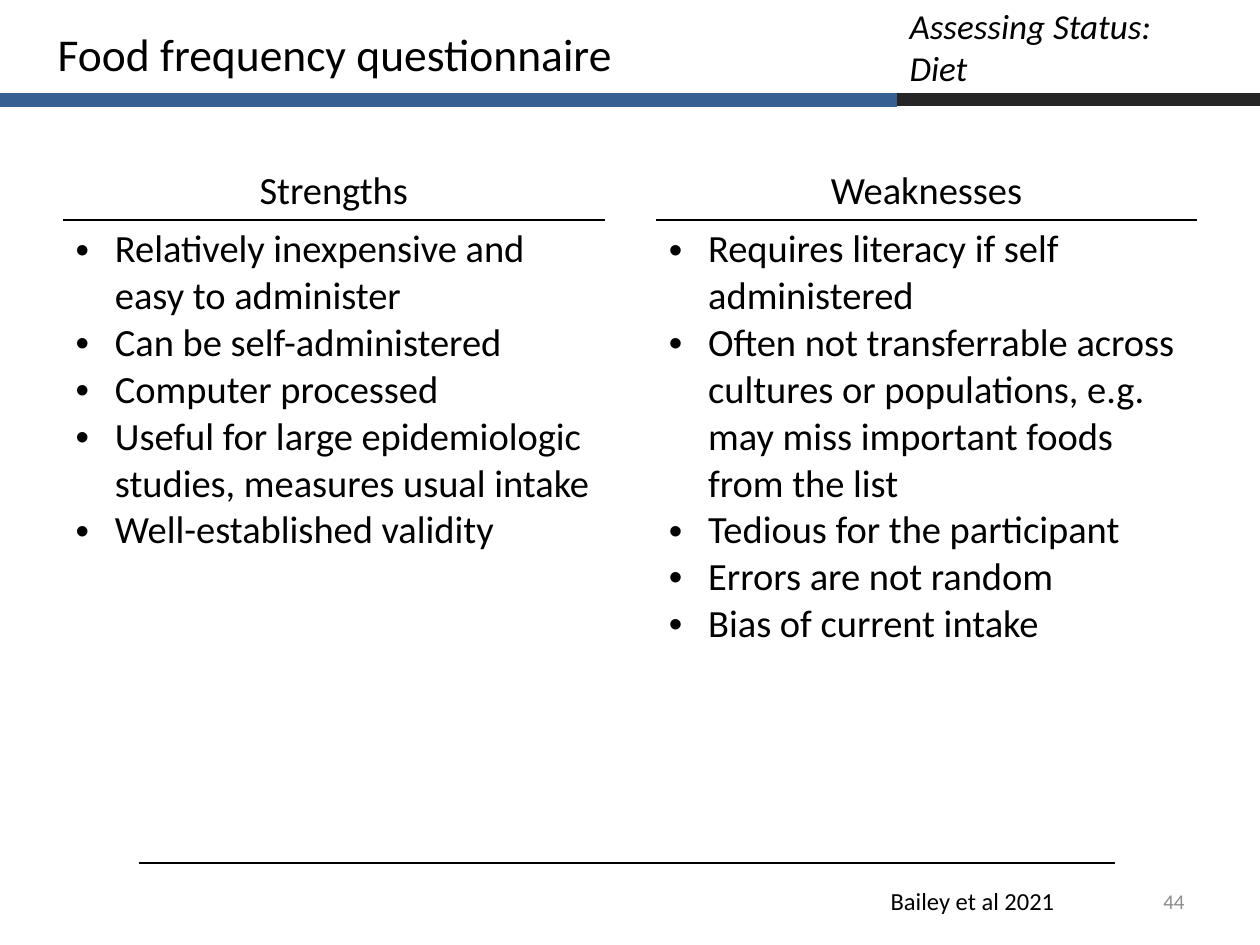
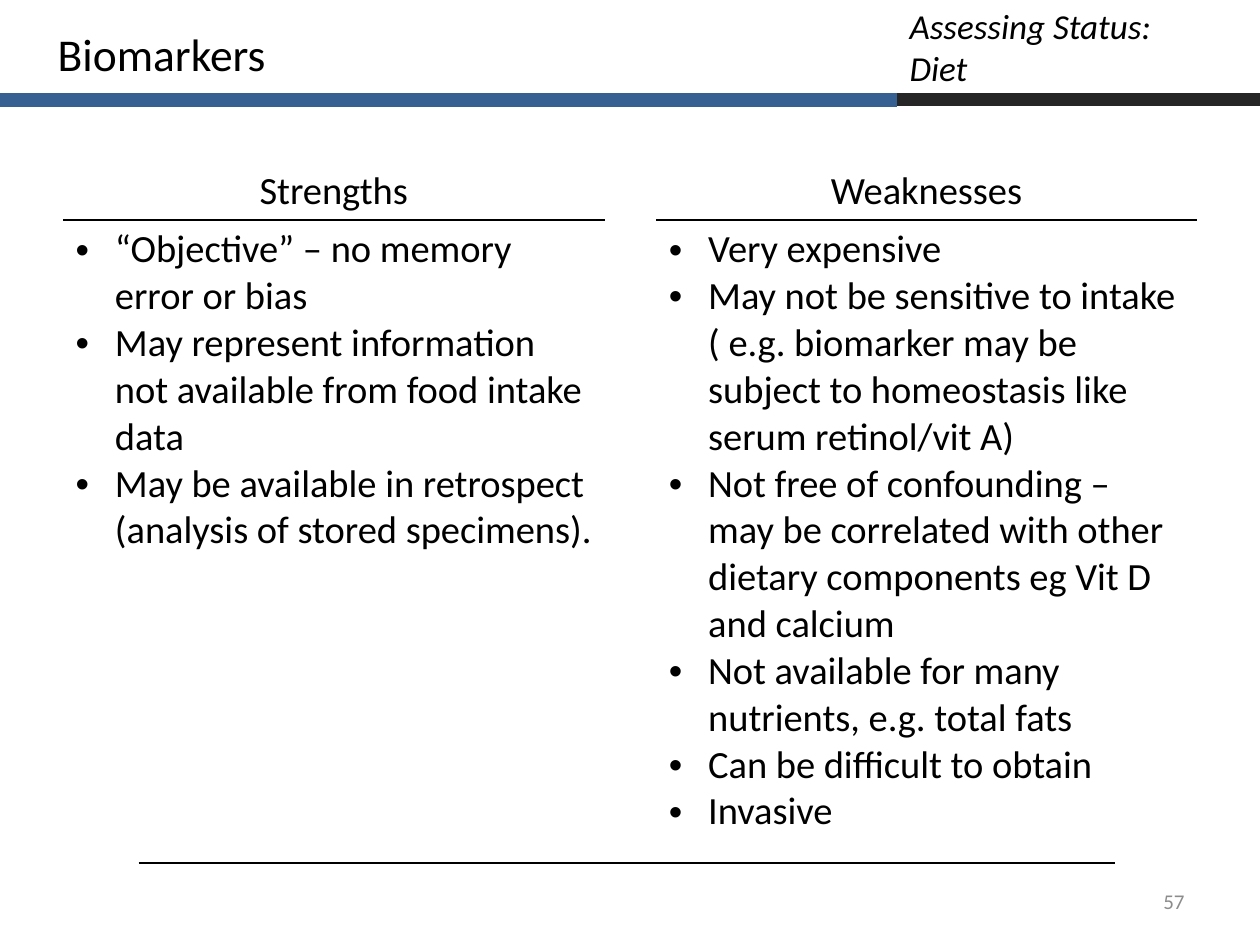
"""Build two slides that weigh the strengths and weaknesses of diet measures."""
import pptx
import pptx.dml.color
import pptx.enum.text
import pptx.oxml
import pptx.oxml.ns
import pptx.util

Pt = pptx.util.Pt
ALIGN = pptx.enum.text.PP_ALIGN
FONT = "Calibri"
BLACK, BLUE, DARK, GREY = "000000", "376092", "262626", "8C8C8C"
WIDE, HIGH = 720, 540
SPLIT = 512.64
TOPIC = ["Assessing Status:", "Diet"]
HEADS = ["Strengths", "Weaknesses"]
RULES = [
    (0, SPLIT, 56.88, BLUE, 8),
    (SPLIT, WIDE, 56.88, DARK, 7),
    (79.2, 637.2, 493.2, BLACK, 1),
]
COLS = [309.5, 29.5, 309]
SIDES = [0, 2]
PAGES = [
    {
        "title": "Food frequency questionnaire",
        "width": 335.5,
        "lists": [
            [
                "Relatively inexpensive and easy to administer",
                "Can be self-administered",
                "Computer processed",
                "Useful for large epidemiologic studies, measures usual intake",
                "Well-established validity",
            ],
            [
                "Requires literacy if self administered",
                "Often not transferrable across cultures or populations, e.g. "
                "may miss important foods from the list",
                "Tedious for the participant",
                "Errors are not random",
                "Bias of current intake",
            ],
        ],
        "number": "44",
        "source": "Bailey et al 2021",
    },
    {
        "title": "Biomarkers",
        "width": 134.6,
        "lists": [
            [
                "“Objective” – no memory error or bias",
                "May represent information not available from food intake data",
                "May be available in retrospect (analysis of stored specimens).",
            ],
            [
                "Very expensive",
                "May not be sensitive to intake ( e.g. biomarker may be "
                "subject to homeostasis like serum retinol/vit A)",
                "Not free of confounding – may be correlated with other "
                "dietary components eg Vit D and calcium",
                "Not available for many nutrients, e.g. total fats",
                "Can be difficult to obtain",
                "Invasive",
            ],
        ],
        "number": "57",
        "source": None,
    },
]


def paint(code):
    return pptx.dml.color.RGBColor.from_string(code)


def node(tag, inner="", attrs=""):
    space = pptx.oxml.ns.nsdecls("a")
    return pptx.oxml.parse_xml(f"<a:{tag} {space} {attrs}>{inner}</a:{tag}>")


def write(frame, lines, size, color=BLACK, align=ALIGN.LEFT, slant=False, dots=False):
    frame.text = "\n".join(lines)
    for para in frame.paragraphs:
        para.alignment = align
        if dots:
            props = para._p.get_or_add_pPr()
            props.set("marL", str(Pt(22.5)))
            props.set("indent", str(Pt(-22.5)))
            props.append(node("buFont", attrs='typeface="Arial"'))
            props.append(node("buChar", attrs='char="•"'))
        for run in para.runs:
            run.font.name = FONT
            run.font.size = Pt(size)
            run.font.italic = slant
            run.font.color.rgb = paint(color)


def label(slide, place, lines, size, wrap=True, grow=True, **style):
    frame = slide.shapes.add_textbox(*map(Pt, place)).text_frame
    frame.word_wrap = wrap
    if grow:
        frame.auto_size = pptx.enum.text.MSO_AUTO_SIZE.SHAPE_TO_FIT_TEXT
    else:
        frame.vertical_anchor = pptx.enum.text.MSO_ANCHOR.MIDDLE
    write(frame, lines, size, **style)


def rule(slide, left, right, y, color, weight):
    line = slide.shapes.add_connector(
        pptx.enum.shapes.MSO_CONNECTOR.STRAIGHT, Pt(left), Pt(y), Pt(right), Pt(y)
    )
    line.line.color.rgb = paint(color)
    line.line.width = Pt(weight)
    line._element.spPr.append(node("effectLst"))


def edge(cell, black):
    props = cell._tc.get_or_add_tcPr()
    for spot, side in enumerate(["lnL", "lnR", "lnT", "lnB"]):
        if side == black:
            fill = f'<a:solidFill><a:srgbClr val="{BLACK}"/></a:solidFill>'
        else:
            fill = "<a:noFill/>"
        props.insert(spot, node(side, fill, f'w="{Pt(1)}"'))


def compare(slide, lists):
    place = map(Pt, (36, 92.16, sum(COLS), 59))
    table = slide.shapes.add_table(2, len(COLS), *place).table
    table.first_row = table.horz_banding = False
    for col, width in zip(table.columns, COLS):
        col.width = Pt(width)
    for cell in table.iter_cells():
        cell.fill.background()
    for side, head, items in zip(SIDES, HEADS, lists):
        write(table.cell(0, side).text_frame, [head], 22, align=ALIGN.CENTER)
        write(table.cell(1, side).text_frame, items, 22, dots=True)
    for row, black in enumerate(["lnB", "lnT"]):
        for col in range(len(COLS)):
            edge(table.cell(row, col), black if col in SIDES else None)


def build(deck, page):
    slide = deck.slides.add_slide(deck.slide_layouts[6])
    for args in RULES:
        rule(slide, *args)
    label(slide, (25.92, 11.52, page["width"], 38.9), [page["title"]], 26, wrap=False)
    label(slide, (SPLIT, -0.72, WIDE - SPLIT, 55.44), TOPIC, 20, slant=True)
    compare(slide, page["lists"])
    label(slide, (516, 500.5, 168, 28.8), [page["number"]], 12,
          grow=False, color=GREY, align=ALIGN.RIGHT)
    if page["source"]:
        label(slide, (501.84, 502.56, 154.8, 24.5), [page["source"]], 14)


def main():
    deck = pptx.Presentation()
    deck.slide_width, deck.slide_height = Pt(WIDE), Pt(HIGH)
    for page in PAGES:
        build(deck, page)
    deck.save("out.pptx")


if __name__ == "__main__":
    main()
